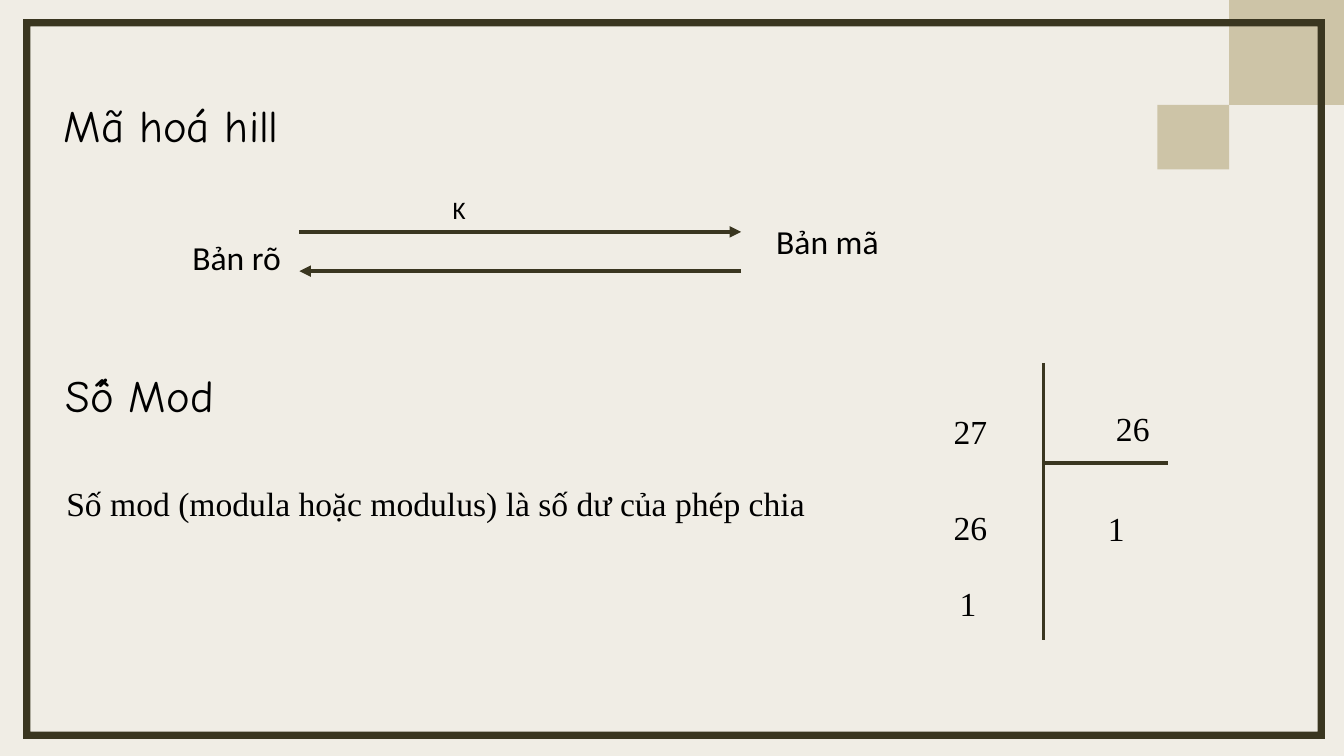
"""Build a slide on the Hill cipher and the modulus of a division."""
from pptx import Presentation
from pptx import util as u
from pptx.dml.color import RGBColor
from pptx.enum import shapes, text
from pptx.oxml.ns import qn
from lxml import etree

PX = 9144
PAPER = RGBColor(0xF0, 0xED, 0xE5)
SAND = RGBColor(0xCD, 0xC4, 0xA7)
OLIVE = RGBColor(0x3A, 0x36, 0x20)
BLACK = RGBColor(0, 0, 0)
HEADING, LABEL, BODY = "Comic Neue", "Calibri", "Times New Roman"


def write(box, words, font, size):
    frame = box.text_frame
    frame.text = words
    frame.word_wrap = False
    frame.auto_size = text.MSO_AUTO_SIZE.SHAPE_TO_FIT_TEXT
    frame.vertical_anchor = text.MSO_ANCHOR.TOP
    para = frame.paragraphs[0]
    para.alignment = text.PP_ALIGN.LEFT
    span = para.runs[0]
    span.font.name = font
    span.font.size = u.Pt(size)
    span.font.color.rgb = BLACK


def draw_line(x1, y1, x2, y2, arrow=False):
    line = page.shapes.add_connector(
        shapes.MSO_CONNECTOR.STRAIGHT, x1 * PX, y1 * PX, x2 * PX, y2 * PX)
    line.line.color.rgb = OLIVE
    line.line.width = u.Pt(2.75)
    if arrow:
        etree.SubElement(line.line._get_or_add_ln(), qn("a:tailEnd"), type="triangle")
    etree.SubElement(line._element.spPr, qn("a:effectLst"))


deck = Presentation()
deck.slide_width = u.Inches(13.33)
deck.slide_height = u.Inches(7.5)
page = deck.slides.add_slide(deck.slide_layouts[5])
page.background.fill.solid()
page.background.fill.fore_color.rgb = PAPER

title = page.shapes.title
title.left, title.top, title.width, title.height = [n * PX for n in (53, 92, 234, 64)]
write(title, "Mã hoá hill", HEADING, 32)

texts = [
    ("Số mod (modula hoặc modulus) là số dư của phép chia", 56, 474, 773, 50, BODY, 24),
    ("Bản rõ", 181, 230, 116, 50, LABEL, 24),
    ("Bản mã", 760, 214, 130, 50, LABEL, 24),
    ("K", 439, 188, 33, 40, LABEL, 18),
    ("Số Mod", 55, 360, 173, 64, HEADING, 32),
    ("26", 1097, 400, 54, 50, BODY, 24),
    ("27", 936, 403, 54, 50, BODY, 24),
    ("1", 1089, 499, 37, 50, BODY, 24),
    ("26", 936, 498, 54, 50, BODY, 24),
    ("1", 942, 573, 37, 50, BODY, 24),
]
for words, left, top, width, height, font, size in texts:
    box = page.shapes.add_textbox(left * PX, top * PX, width * PX, height * PX)
    write(box, words, font, size)

draw_line(297, 230, 735, 230, arrow=True)
draw_line(735, 269, 297, 269, arrow=True)
draw_line(1035, 360, 1035, 635)
draw_line(1036, 459, 1158, 459)

decorations = [
    (shapes.MSO_SHAPE.RECTANGLE, 1219, 0, 114, 104, SAND),
    (shapes.MSO_SHAPE.RECTANGLE, 1148, 104, 71, 64, SAND),
    (shapes.MSO_SHAPE.FRAME, 23, 19, 1291, 714, OLIVE),
]
for kind, left, top, width, height, colour in decorations:
    shape = page.shapes.add_shape(kind, left * PX, top * PX, width * PX, height * PX)
    shape.shadow.inherit = False
    shape.fill.solid()
    shape.fill.fore_color.rgb = colour
    shape.line.fill.background()
    if kind == shapes.MSO_SHAPE.FRAME:
        shape.adjustments[0] = 0.01

deck.save("out.pptx")
